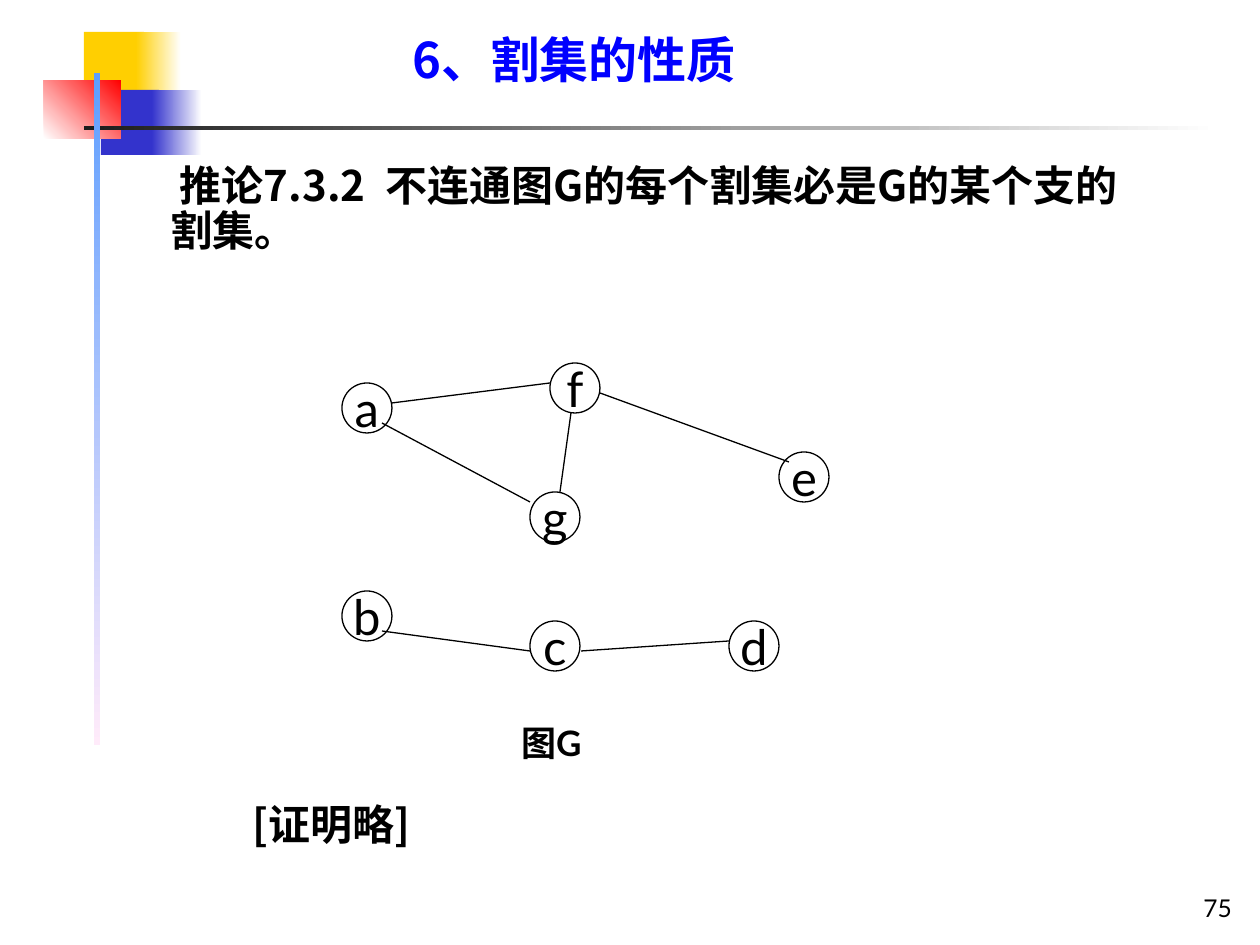
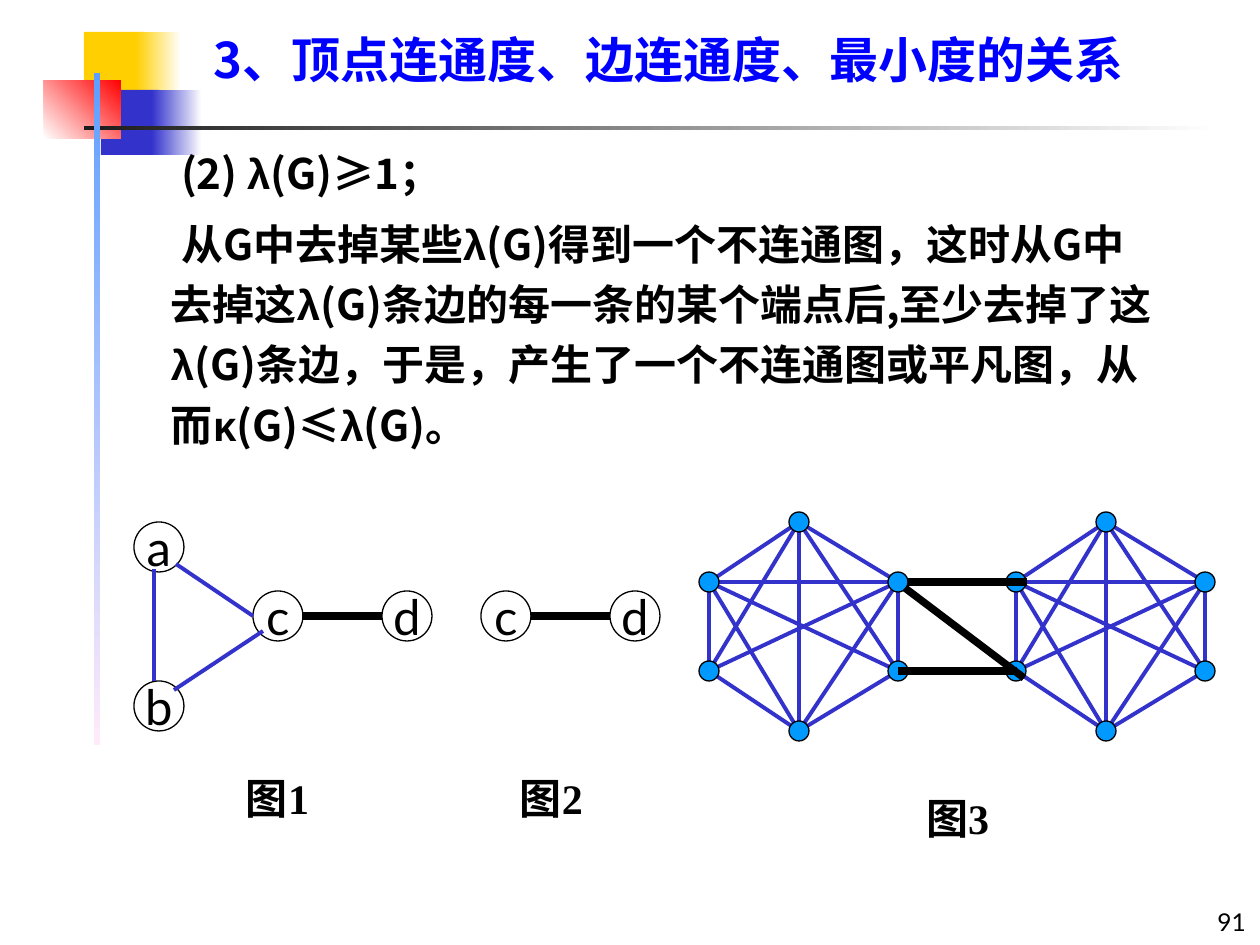
import itertools
import pptx
import pptx.util
import pptx.dml.color
import pptx.enum.shapes
import pptx.enum.text
import pptx.oxml.ns
from lxml import etree

SCALE = 914400 / 126
HEX = {
    "ink": "000000", "white": "FFFFFF", "title": "0000FF", "gold": "FFCF01",
    "navy": "3333CC", "red": "FF0000", "coal": "1C1C1C", "sky": "5E9EFF",
    "pink": "FFEBFA", "dot": "0099FF",
}
CJK, LATIN, GREEK, SERIF = "Noto Sans CJK SC", "Lato", "Arial", "Times New Roman"
KIND = pptx.enum.shapes.MSO_SHAPE
ALIGN = pptx.enum.text.PP_ALIGN
ANCHOR = pptx.enum.text.MSO_ANCHOR
NODE, DOT, SHIFT = 50, 20, 307


def px(n):
    return pptx.util.Emu(round(n * SCALE))


def rgb(name):
    return pptx.dml.color.RGBColor.from_string(HEX[name])


def sub(node, tag, **attrs):
    return etree.SubElement(node, pptx.oxml.ns.qn(tag), **attrs)


def sort(char):
    return char if char == "\t" else char in "λκ"


def write(frame, text, size=24, font=CJK, color="ink", bold=False, align=ALIGN.LEFT,
          anchor=ANCHOR.TOP, wrap=True, pad=(0, 0), lead=None, before=0, left=0, first=0):
    frame.word_wrap = wrap
    frame.vertical_anchor = anchor
    frame.margin_left = frame.margin_right = px(pad[0])
    frame.margin_top = frame.margin_bottom = px(pad[1])
    for i, line in enumerate(text.split("\n")):
        para = frame.add_paragraph() if i else frame.paragraphs[0]
        para.alignment = align
        if lead:
            para.line_spacing = lead
        if i:
            para.space_before = pptx.util.Pt(before)
        if left:
            props = para._p.get_or_add_pPr()
            props.set("marL", str(px(left)))
            props.set("indent", str(px(first)))
        for kind, chars in itertools.groupby(line, sort):
            run = para.add_run()
            run.text = "".join(chars).replace("\t", " ")
            run.font.size = pptx.util.Pt(size)
            run.font.bold = bold
            run.font.color.rgb = rgb(color)
            run.font.name = GREEK if kind is True else font
            props = run._r.get_or_add_rPr()
            sub(props, "a:ea", typeface=CJK)
            if kind == "\t":
                props.set("spc", "600")


class Deck:
    def __init__(self):
        self.show = pptx.Presentation()
        self.show.slide_width, self.show.slide_height = px(1260), px(945)

    def shape(self, kind, x, y, w, h, fill=None, fade=None, angle=0, line=None):
        item = self.slide.shapes.add_shape(kind, px(x), px(y), px(w), px(h))
        item.shadow.inherit = False
        if fade:
            item.fill.gradient()
            item.fill.gradient_angle = angle
            for stop, name, place in zip(item.fill.gradient_stops, (fill, fade), (0, 1)):
                stop.color.rgb = rgb(name)
                stop.position = place
        elif fill:
            item.fill.solid()
            item.fill.fore_color.rgb = rgb(fill)
        else:
            item.fill.background()
        if line:
            item.line.color.rgb = rgb(line)
            item.line.width = pptx.util.Pt(0.75)
        else:
            item.line.fill.background()
        return item

    def text(self, x, y, w, h, text, **style):
        box = self.slide.shapes.add_textbox(px(x), px(y), px(w), px(h))
        write(box.text_frame, text, **style)

    def body(self, x, y, w, h, text, **style):
        self.text(x, y, w, h, text, bold=True, **style)

    def label(self, x, y, text, **style):
        self.text(x, y, 120, 63, text, bold=True, pad=(13, 6), **style)

    def node(self, name, x, y):
        item = self.shape(KIND.OVAL, x, y, NODE, NODE, line="ink")
        write(item.text_frame, name, size=28, font=LATIN, align=ALIGN.CENTER,
              anchor=ANCHOR.MIDDLE, wrap=False, pad=(13, 6))

    def edge(self, start, end, color="ink", width=0.75):
        item = self.slide.shapes.add_connector(
            pptx.enum.shapes.MSO_CONNECTOR.STRAIGHT, *map(px, start + end))
        item.line.color.rgb = rgb(color)
        item.line.width = pptx.util.Pt(width)
        sub(item._element.spPr, "a:effectLst")

    def mesh(self, shift):
        spots = {"top": (799, 522), "ul": (709, 582), "ur": (898, 582),
                 "ll": (709, 671), "lr": (898, 671), "low": (799, 731)}
        spots = {key: (x + shift, y) for key, (x, y) in spots.items()}
        for pair in itertools.combinations(spots, 2):
            if pair != ("ll", "lr"):
                self.edge(*(spots[key] for key in pair), "navy", 2.25)
        for x, y in spots.values():
            self.shape(KIND.OVAL, x - DOT // 2, y - DOT // 2, DOT, DOT, "dot", line="ink")

    def page(self, title, x, w, number, right, base):
        self.slide = self.show.slides.add_slide(self.show.slide_layouts[6])
        for box, fill, fade, angle in (
            ((84, 32, 60, 65), "gold", None, 0),
            ((136, 32, 45, 65), "gold", "white", 0),
            ((101, 90, 58, 65), "navy", None, 0),
            ((152, 90, 50, 65), "navy", "white", 0),
            ((44, 80, 77, 59), "white", "red", 45),
            ((84, 126, 1134, 4), "coal", "white", 0),
            ((94, 73, 6, 672), "sky", "pink", 270),
        ):
            self.shape(KIND.RECTANGLE, *box, fill, fade, angle)
        self.text(x, 36, w, 53, title, size=28, color="title", bold=True, lead=0.9)
        self.text(right - 262, base - 63, 262, 63, number, size=14, font=LATIN,
                  align=ALIGN.RIGHT, anchor=ANCHOR.BOTTOM, pad=(13, 6))


def cuts(deck):
    deck.page("6、割集的性质", 413, 430, "75", 1245, 928)
    deck.body(124, 165, 1012, 91, "推论7.3.2\t不连通图G的每个割集必是G的某个支的割集。",
              lead=0.9, left=47, first=9)
    for name, x, y in (("a", 342, 383), ("b", 342, 591), ("c", 530, 621), ("d", 729, 621),
                       ("e", 779, 452), ("f", 550, 363), ("g", 530, 492)):
        deck.node(name, x, y)
    for start, end in (
        ((382, 423), (530, 502)), ((392, 403), (550, 383)), ((382, 631), (530, 651)),
        ((581, 651), (729, 641)), ((789, 462), (600, 393)), ((571, 413), (560, 492)),
    ):
        deck.edge(start, end)
    deck.label(508, 716, "图G", size=20, font=LATIN)
    deck.body(253, 804, 258, 45, "[证明略]", lead=0.9)


def bounds(deck):
    deck.page("3、顶点连通度、边连通度、最小度的关系", 214, 942, "91", 1259, 942)
    deck.body(124, 137, 1030, 312,
              "(2) λ(G)≥1；\n从G中去掉某些λ(G)得到一个不连通图，这时从G中去掉这λ(G)条边的"
              "每一条的某个端点后,至少去掉了这λ(G)条边，于是，产生了一个不连通图或平凡图，"
              "从而κ(G)≤λ(G)。", lead=1.2, before=6, left=47, first=10)
    for name, x, y in (("a", 134, 522), ("b", 134, 681), ("c", 253, 591), ("d", 382, 591),
                       ("c", 481, 591), ("d", 610, 591)):
        deck.node(name, x, y)
    for start, end in (((154, 569), (154, 681)), ((174, 690), (263, 631)),
                       ((176, 564), (253, 616))):
        deck.edge(start, end, "navy", 2.25)
    for shift in (0, SHIFT):
        deck.mesh(shift)
    for start, end in (
        ((302, 616), (382, 616)), ((531, 616), (610, 616)), ((908, 582), (1027, 582)),
        ((898, 671), (1017, 671)), ((905, 588), (1024, 678)),
    ):
        deck.edge(start, end, width=4.25)
    for text, x, y in (("图1", 233, 767), ("图2", 507, 767), ("图3", 913, 787)):
        deck.label(x, y, text, font=SERIF)


def main():
    deck = Deck()
    cuts(deck)
    bounds(deck)
    deck.show.save("out.pptx")


if __name__ == "__main__":
    main()
